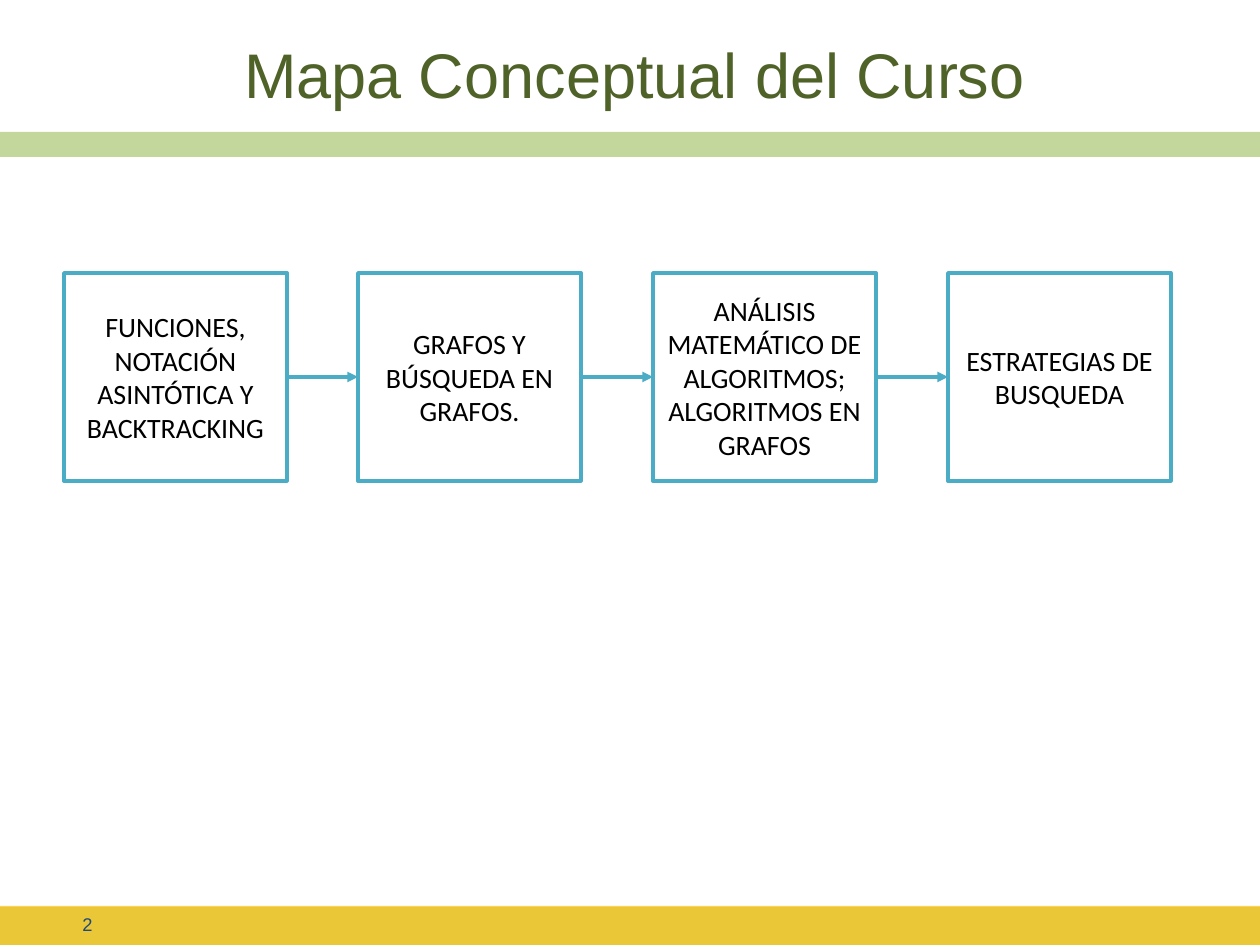
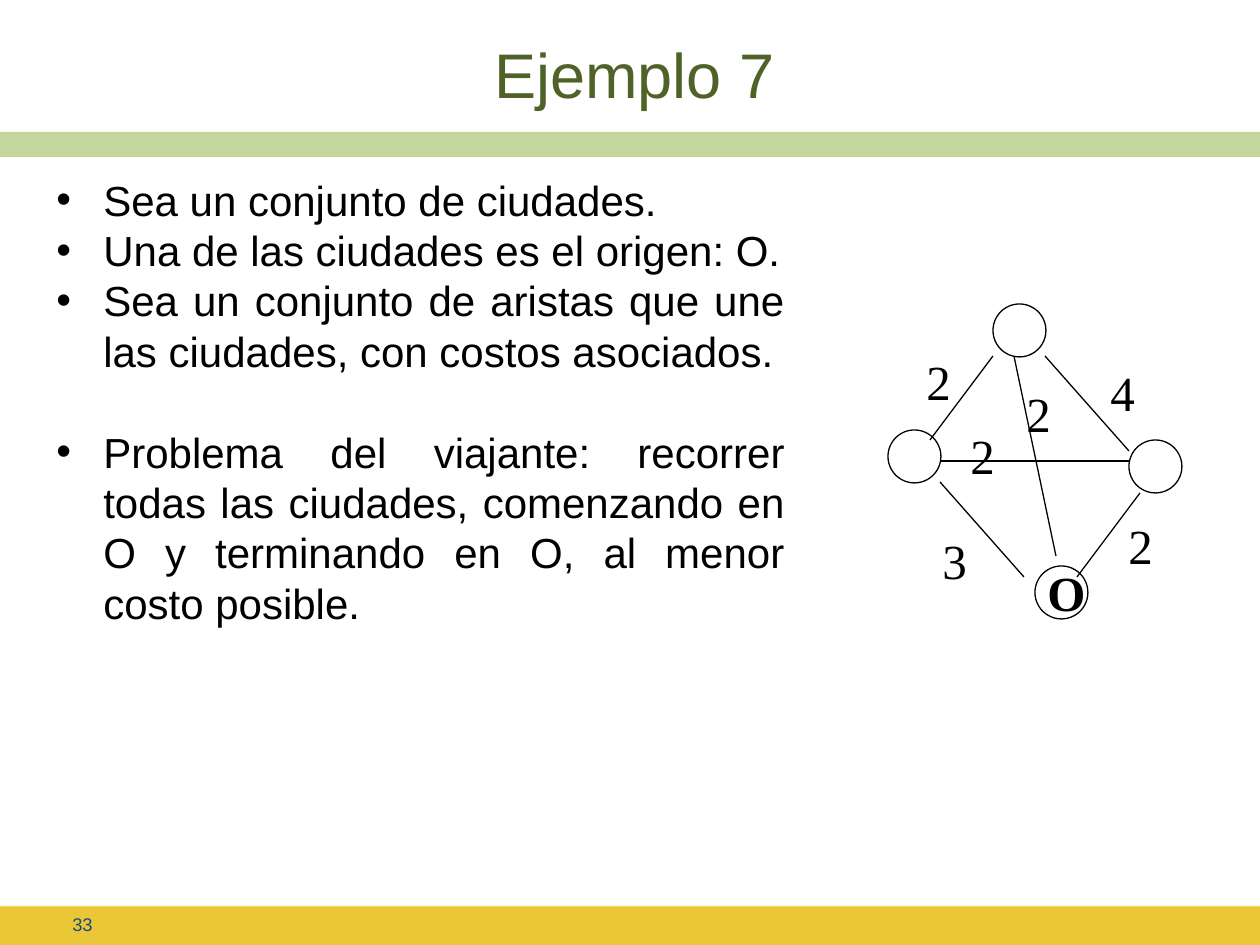
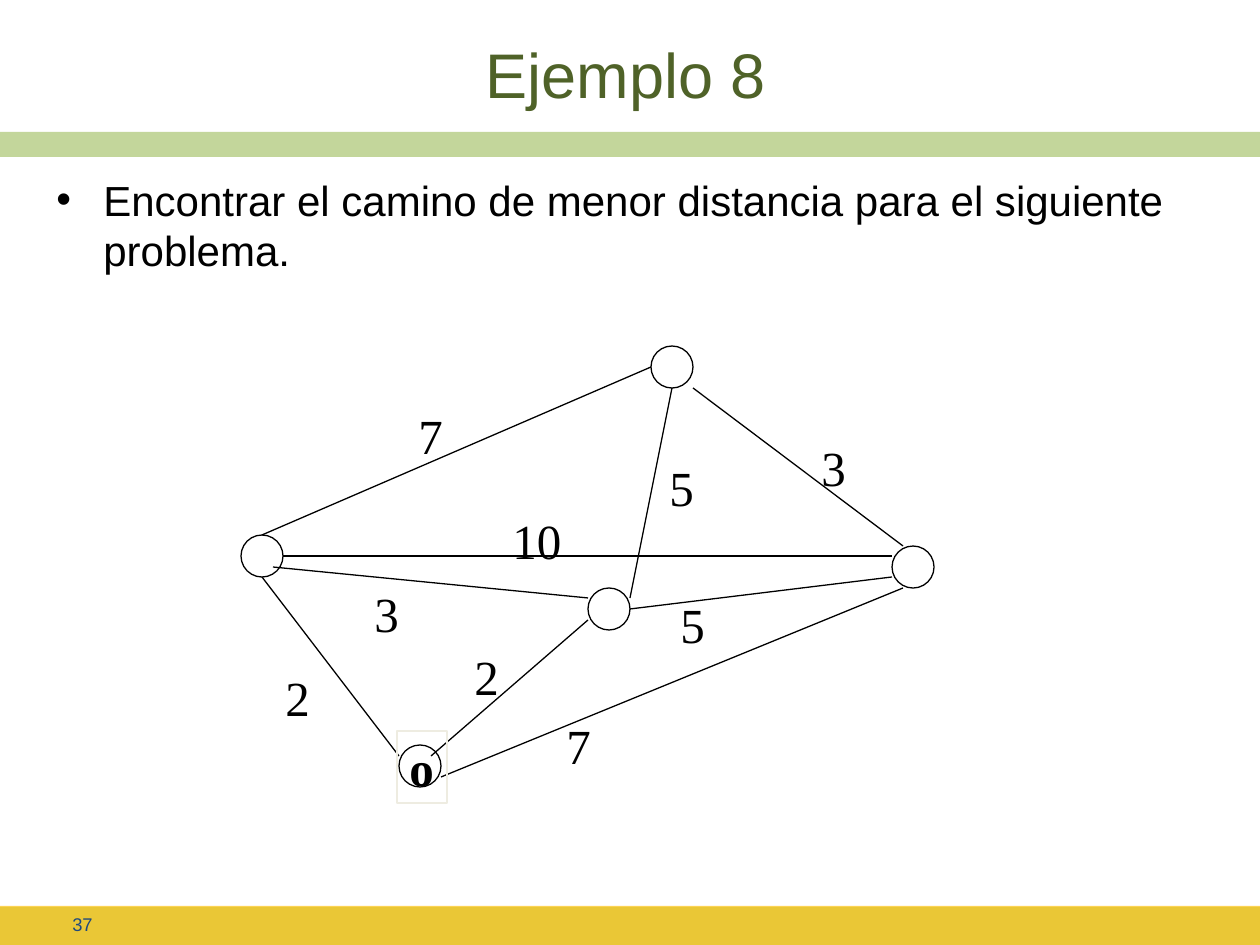
from lxml.etree import SubElement
from pptx import Presentation
from pptx.dml.color import RGBColor as Rgb
from pptx.enum.shapes import MSO_CONNECTOR as Connector, MSO_SHAPE as Preset
from pptx.enum.text import MSO_ANCHOR as Anchor, PP_ALIGN as Align
from pptx.oxml.ns import qn
from pptx.util import Emu, Pt

PX_PER_INCH = 126
COLORS = {
    "white": "FFFFFF", "black": "000000", "title": "4F6228", "band": "C3D69B",
    "footer": "FFC000", "number": "1F497D", "box": "4BACC6", "frame": "EEECE1",
}
FONTS = {
    "title": {"name": "Arial", "size": Pt(36)},
    "number": {"name": "Arial", "size": Pt(10.5)},
    "body": {"name": "Arial", "size": Pt(24)},
    "box": {"name": "Calibri", "size": Pt(16)},
    "label": {"name": "Times New Roman", "size": Pt(28)},
    "origin": {"name": "Times New Roman", "size": Pt(28), "bold": True},
}
MIDDLE = {"word_wrap": True, "vertical_anchor": Anchor.MIDDLE}
TOP = {"word_wrap": True, "vertical_anchor": Anchor.TOP}
LOOSE = {"word_wrap": False, "vertical_anchor": Anchor.TOP}


def px(length):
    """Turn whole pixels into EMU."""
    return Emu(round(length * 914400 / PX_PER_INCH))


def set_values(target, values):
    """Set each attribute in values on target."""
    for name, value in values.items():
        setattr(target, name, value)


class Deck:
    """Holds the presentation, its style and the current slide."""

    def __init__(self):
        self.presentation = Presentation()
        set_values(self.presentation, {"slide_width": px(1260), "slide_height": px(945)})
        self.slide = None

    def new_slide(self, title, number):
        """Add a slide with bands, page number and title."""
        self.slide = self.presentation.slides.add_slide(self.presentation.slide_layouts[6])
        self.shape((0, 132, 1260, 25), fill="band")
        self.shape((0, 907, 1260, 38), fill="band")
        footer = self.shape((0, 906, 1260, 39), fill="footer")
        color = footer._element.spPr.find(qn("a:solidFill"))[0]
        SubElement(color, qn("a:alpha"), val="65000")
        margins = {"margin_top": px(5), "margin_bottom": px(5)}
        self.text((43, 910, 62, 29), [number], "number", "number", Align.RIGHT, MIDDLE | margins)
        self.text((44, 29, 1181, 89), [title], "title", "title", Align.CENTER, MIDDLE)

    def shape(self, bounds, preset=Preset.RECTANGLE, fill=None, line=None, width=0.75):
        """Add a preset shape with the given fill and line."""
        shape = self.slide.shapes.add_shape(preset, *map(px, bounds))
        shape.shadow.inherit = False
        if fill:
            shape.fill.solid()
            shape.fill.fore_color.rgb = Rgb.from_string(COLORS[fill])
        else:
            shape.fill.background()
        if line:
            shape.line.color.rgb = Rgb.from_string(COLORS[line])
            shape.line.width = Pt(width)
        else:
            shape.line.fill.background()
        return shape

    def fill_text(self, shape, lines, font, color="black", align=Align.LEFT, frame=TOP):
        """Fill a shape with one paragraph per line."""
        text_frame = shape.text_frame
        set_values(text_frame, frame)
        for index, line in enumerate(lines):
            paragraph = text_frame.add_paragraph() if index else text_frame.paragraphs[0]
            paragraph.alignment = align
            run = paragraph.add_run()
            run.text = line
            set_values(run.font, FONTS[font])
            run.font.color.rgb = Rgb.from_string(COLORS[color])
        return text_frame

    def text(self, bounds, lines, font, color="black", align=Align.LEFT, frame=TOP):
        """Add a text box."""
        box = self.slide.shapes.add_textbox(*map(px, bounds))
        return self.fill_text(box, lines, font, color, align, frame)

    def bullets(self, width, lines, align=Align.LEFT):
        """Add the bulleted body text and return its paragraphs."""
        paragraphs = self.text((44, 168, width, 719), lines, "body", align=align).paragraphs
        for paragraph in paragraphs:
            properties = paragraph._p.get_or_add_pPr()
            properties.set("marL", str(px(47)))
            properties.set("indent", str(-px(47)))
            SubElement(properties, qn("a:buFont"), typeface="Arial")
            SubElement(properties, qn("a:buChar"), char="•")
        return paragraphs

    def line(self, start, end, color="black", width=0.75):
        """Add a straight line."""
        line = self.slide.shapes.add_connector(Connector.STRAIGHT, *map(px, start + end))
        line.line.color.rgb = Rgb.from_string(COLORS[color])
        line.line.width = Pt(width)
        SubElement(line._element.spPr, qn("a:effectLst"))
        return line

    def arrow(self, source, target):
        """Join the facing sides of two boxes with an arrow."""
        arrow = self.line((0, 0), (0, 0), "box", 2)
        arrow.begin_connect(source, 3)
        arrow.end_connect(target, 1)
        SubElement(arrow._element.spPr.find(qn("a:ln")), qn("a:tailEnd"), type="triangle")

    def graph(self, diameter, nodes, edges, labels):
        """Draw nodes, edges and cost labels."""
        for left, top in nodes:
            self.shape((left, top, diameter, diameter), Preset.OVAL, line="black")
        for start, end in edges:
            self.line(start, end)
        for cost, left, top in labels:
            self.text((left, top, 25 + 25 * len(cost), 72), [cost], "label", frame=LOOSE)


def concept_map(deck):
    """Build the course map."""
    deck.new_slide("Mapa Conceptual del Curso", "2")
    topics = [
        "FUNCIONES, NOTACIÓN ASINTÓTICA Y BACKTRACKING",
        "GRAFOS Y BÚSQUEDA EN GRAFOS.",
        "ANÁLISIS MATEMÁTICO DE ALGORITMOS; ALGORITMOS EN GRAFOS",
        "ESTRATEGIAS DE BUSQUEDA",
    ]
    boxes = []
    for index, topic in enumerate(topics):
        left = 64 + round(294.5 * index)
        box = deck.shape((left, 273, 223, 208), fill="white", line="box", width=2)
        deck.fill_text(box, [topic], "box", align=Align.CENTER, frame=MIDDLE)
        boxes.append(box)
    for source, target in zip(boxes, boxes[1:]):
        deck.arrow(source, target)


def salesman_problem(deck):
    """Build the travelling salesman example."""
    deck.new_slide("Ejemplo 7", "33")
    paragraphs = deck.bullets(753, [
        "Sea un conjunto de ciudades.",
        "Una de las ciudades es el origen: O.",
        "Sea un conjunto de aristas que une las ciudades, con costos asociados.",
        "Problema del viajante: recorrer todas las ciudades, comenzando en O y "
        "terminando en O, al menor costo posible.",
    ], Align.JUSTIFY)
    paragraphs[-1].space_before = Pt(28.8)
    deck.graph(
        53,
        [(993, 304), (888, 430), (1035, 566), (1129, 440)],
        [
            ((930, 440), (993, 356)), ((1077, 577), (1140, 493)),
            ((1045, 356), (1129, 451)), ((940, 482), (1024, 577)),
            ((1014, 356), (1056, 556)), ((940, 461), (1129, 461)),
        ],
        [
            ("2", 1116, 509), ("4", 1098, 356), ("2", 914, 345),
            ("3", 930, 524), ("2", 958, 419), ("2", 1014, 377),
        ],
    )
    deck.text((1035, 556, 64, 72), ["O"], "origin", frame=LOOSE)


def shortest_path(deck):
    """Build the shortest path example."""
    deck.new_slide("Ejemplo 8 ", "37")
    deck.bullets(1181, ["Encontrar el camino de menor distancia para el siguiente problema."])
    deck.graph(
        42,
        [(241, 535), (892, 546), (651, 346), (399, 745), (588, 588)],
        [
            ((431, 756), (588, 620)), ((399, 756), (262, 577)), ((283, 556), (892, 556)),
            ((630, 598), (672, 388)), ((441, 777), (903, 588)), ((693, 388), (903, 546)),
            ((630, 609), (892, 577)), ((273, 567), (588, 598)), ((262, 535), (651, 367)),
        ],
        [
            ("7", 554, 709), ("2", 462, 640), ("2", 273, 661),
            ("3", 362, 577), ("10", 500, 504), ("7", 406, 399),
            ("5", 668, 588), ("3", 809, 431), ("5", 657, 451),
        ],
    )
    origin = deck.shape((397, 731, 50, 72), line="frame")
    deck.fill_text(origin, ["o"], "origin", frame=LOOSE)


def main():
    """Build and save the slides."""
    deck = Deck()
    for build in (concept_map, salesman_problem, shortest_path):
        build(deck)
    deck.presentation.save("out.pptx")


if __name__ == "__main__":
    main()
